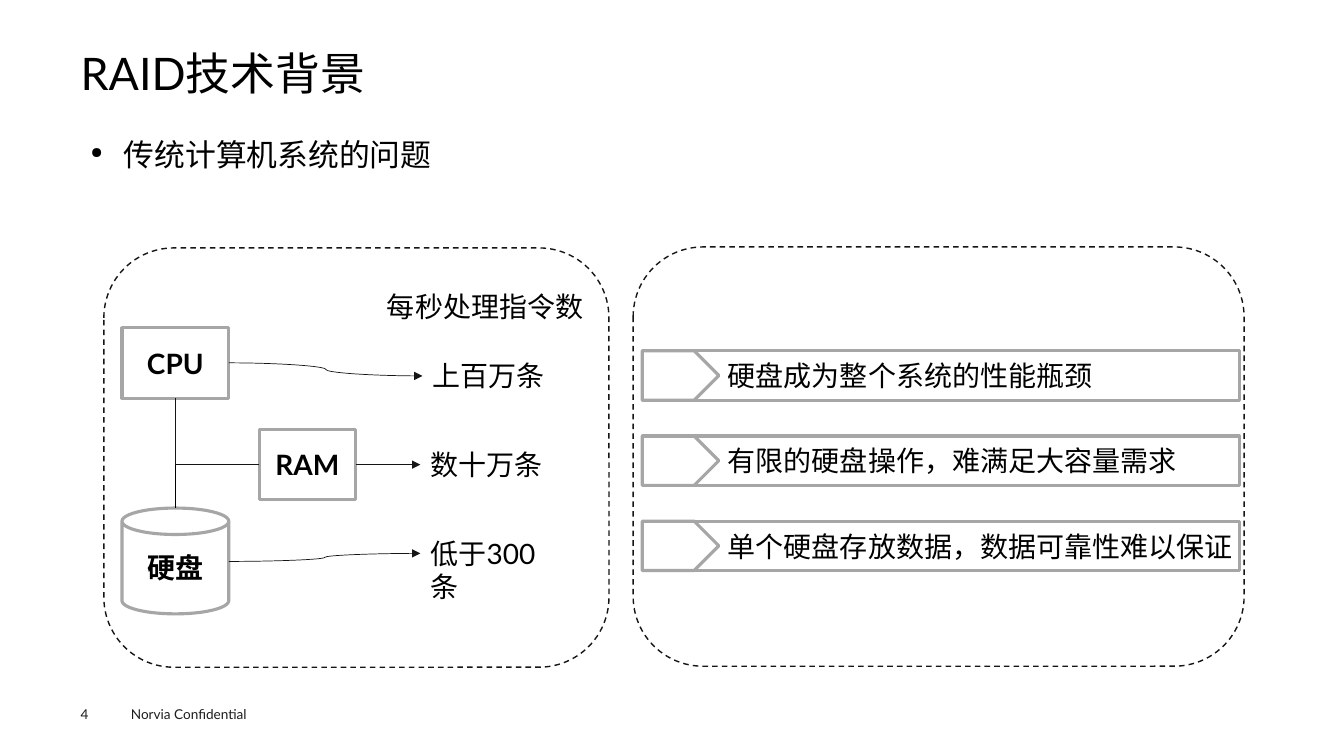
from dataclasses import dataclass

from pptx import Presentation
from pptx.dml.color import RGBColor
from pptx.enum.dml import MSO_LINE
from pptx.enum.shapes import MSO_CONNECTOR, MSO_SHAPE
from pptx.enum.text import MSO_ANCHOR, PP_ALIGN
from pptx.oxml.ns import qn
from pptx.oxml.xmlchemy import OxmlElement
from pptx.util import Inches, Pt

RECT, CAN = MSO_SHAPE.RECTANGLE, MSO_SHAPE.CAN
ROUND, PENTAGON = MSO_SHAPE.ROUNDED_RECTANGLE, MSO_SHAPE.PENTAGON
STRAIGHT, ELBOW, CURVE = MSO_CONNECTOR.STRAIGHT, MSO_CONNECTOR.ELBOW, MSO_CONNECTOR.CURVE
LEFT, CENTER, JUSTIFY = PP_ALIGN.LEFT, PP_ALIGN.CENTER, PP_ALIGN.JUSTIFY
TOP, MIDDLE = MSO_ANCHOR.TOP, MSO_ANCHOR.MIDDLE
DASH = MSO_LINE.DASH
SIDE_BOTTOM, SIDE_LEFT, SIDE_RIGHT = 2, 1, 3


@dataclass(frozen=True)
class Theme:
    font: str = "Lato"
    ink: str = "000000"
    frame: str = "151515"
    edge: str = "A6A6A6"
    footer: str = "1D1D1B"
    title_size: float = 32
    bullet_size: float = 22
    body_size: float = 20
    footer_size: float = 9.7
    cell: float = 0.1  # inches per grid column and row


class SlideBuilder:
    """Draws on one slide; all lengths are grid columns and rows."""

    def __init__(self, prs, theme):
        self.theme = theme
        self.slide = prs.slides.add_slide(prs.slide_layouts[5])
        self.shapes = self.slide.shapes

    def grid(self, *cells):
        return [Inches(n * self.theme.cell) for n in cells]

    def set_text(self, sp, text, size, color=None, bold=False, align=LEFT, anchor=TOP):
        tf = sp.text_frame
        tf.text = text
        tf.vertical_anchor = anchor
        p = tf.paragraphs[0]
        p.alignment = align
        font = p.runs[0].font
        font.name, font.size, font.bold = self.theme.font, Pt(size), bold
        font.color.rgb = RGBColor.from_string(color or self.theme.ink)
        return p

    def no_insets(self, sp):
        tf = sp.text_frame
        tf.margin_left = tf.margin_right = tf.margin_top = tf.margin_bottom = 0

    def title(self, text, *box):
        sp = self.shapes.title
        sp.left, sp.top, sp.width, sp.height = self.grid(*box)
        self.no_insets(sp)
        self.set_text(sp, text, self.theme.title_size, anchor=MIDDLE).line_spacing = 0.9

    def text(self, text, *box, size=None, color=None, wrap=False):
        sp = self.shapes.add_textbox(*self.grid(*box))
        sp.text_frame.word_wrap = wrap
        self.set_text(sp, text, size or self.theme.body_size, color)
        return sp

    def bullet(self, text, *box):
        sp = self.text(text, *box, size=self.theme.bullet_size, wrap=True)
        p = sp.text_frame.paragraphs[0]
        p.alignment, p.line_spacing, p.space_before = JUSTIFY, 1.4, Pt(7.9)
        pPr = p._p.get_or_add_pPr()
        indent = Inches(0.33)
        pPr.set("marL", str(indent))
        pPr.set("indent", str(-indent))
        for tag, key, value in (("a:buSzPct", "val", "50000"), ("a:buChar", "char", "●")):
            mark = OxmlElement(tag)
            mark.set(key, value)
            pPr.append(mark)

    def shape(self, kind, *box, color=None, width=2.25, dash=None, label=None):
        sp = self.shapes.add_shape(kind, *self.grid(*box))
        sp.shadow.inherit = False
        sp.fill.background()
        sp.line.color.rgb = RGBColor.from_string(color or self.theme.edge)
        sp.line.width = Pt(width)
        if dash:
            sp.line.dash_style = dash
        if label:
            self.set_text(sp, label, self.theme.body_size, bold=True, align=CENTER, anchor=MIDDLE)
        return sp

    def panel(self, *box):
        return self.shape(ROUND, *box, color=self.theme.frame, width=1, dash=DASH)

    def connector(self, kind, *ends, begin=None, end=None, color=None, width=1.0, arrow=False):
        cn = self.shapes.add_connector(kind, *self.grid(*ends))
        if begin:
            cn.begin_connect(*begin)
        if end:
            cn.end_connect(*end)
        cn.line.color.rgb = RGBColor.from_string(color or self.theme.frame)
        cn.line.width = Pt(width)
        spPr = cn._element.spPr
        if kind == ELBOW:  # one corner only
            spPr.find(qn("a:prstGeom")).set("prst", "bentConnector2")
        if arrow:
            head = OxmlElement("a:tailEnd")
            head.set("type", "triangle")
            spPr.find(qn("a:ln")).append(head)
        spPr.append(OxmlElement("a:effectLst"))
        return cn


def main():
    prs = Presentation()
    prs.slide_width, prs.slide_height = Inches(13.33), Inches(7.5)
    theme = Theme()
    s = SlideBuilder(prs, theme)

    # Heading
    s.title("RAID技术背景", 8, 4.9, 117.3, 5.3)
    s.bullet("传统计算机系统的问题", 8, 11.5, 117.3, 8)

    # Left panel: components
    s.panel(10.3, 24.6, 50.1, 41.6)
    cpu = s.shape(RECT, 12.1, 32.5, 10.6, 7, label="CPU")
    ram = s.shape(RECT, 25.7, 42.6, 9.6, 7, label="RAM")
    s.shape(CAN, 12.1, 50.4, 10.6, 10.5, label="硬盘")
    s.connector(STRAIGHT, 17.4, 39.5, 17.4, 50.4, begin=(cpu, SIDE_BOTTOM), color=theme.ink)
    s.connector(ELBOW, 25.7, 46.1, 17.4, 39.5,
                begin=(ram, SIDE_LEFT), end=(cpu, SIDE_BOTTOM))

    # Left panel: instructions per second
    s.text("每秒处理指令数", 37.4, 28.2, 21.7, 4.4)
    rates = (("上百万条", 41.9, 22.7, 36, cpu),
             ("数十万条", 41.7, 35.3, 46.1, ram),
             ("低于300条", 41.7, 22.7, 55.7, None))
    for i, (rate, left, start_x, start_y, part) in enumerate(rates):
        top = 35.1 + 8.8 * i
        label = s.text(rate, left, top, 13.2, 4.4, wrap=part is None)
        s.connector(CURVE, start_x, start_y, left, top + 2.2,
                    begin=(part, SIDE_RIGHT) if part else None,
                    end=(label, SIDE_LEFT), width=0.5, arrow=True)

    # Right panel: resulting problems
    s.panel(62.8, 24.5, 60.6, 41.6)
    problems = (("硬盘成为整个系统的性能瓶颈", 38.5),
                ("有限的硬盘操作，难满足大容量需求", 46.9),
                ("单个硬盘存放数据，数据可靠性难以保证", 52.5))
    for i, (problem, width) in enumerate(problems):
        top = 34.8 + 8.45 * i
        s.shape(RECT, 63.7, top, 59.2, 4.9)
        s.shape(PENTAGON, 63.7, top, 7.6, 4.9)
        s.text(problem, 71.2, top + 0.3, width, 4.4)

    # Footer
    s.text("Norvia Confidential", 12, 69.5, 16, 2.7, size=theme.footer_size, color=theme.footer)
    number = s.text("4", 8, 70, 5.5, 1.6, size=theme.footer_size, color=theme.footer, wrap=True)
    s.no_insets(number)

    prs.save("out.pptx")


if __name__ == "__main__":
    main()
